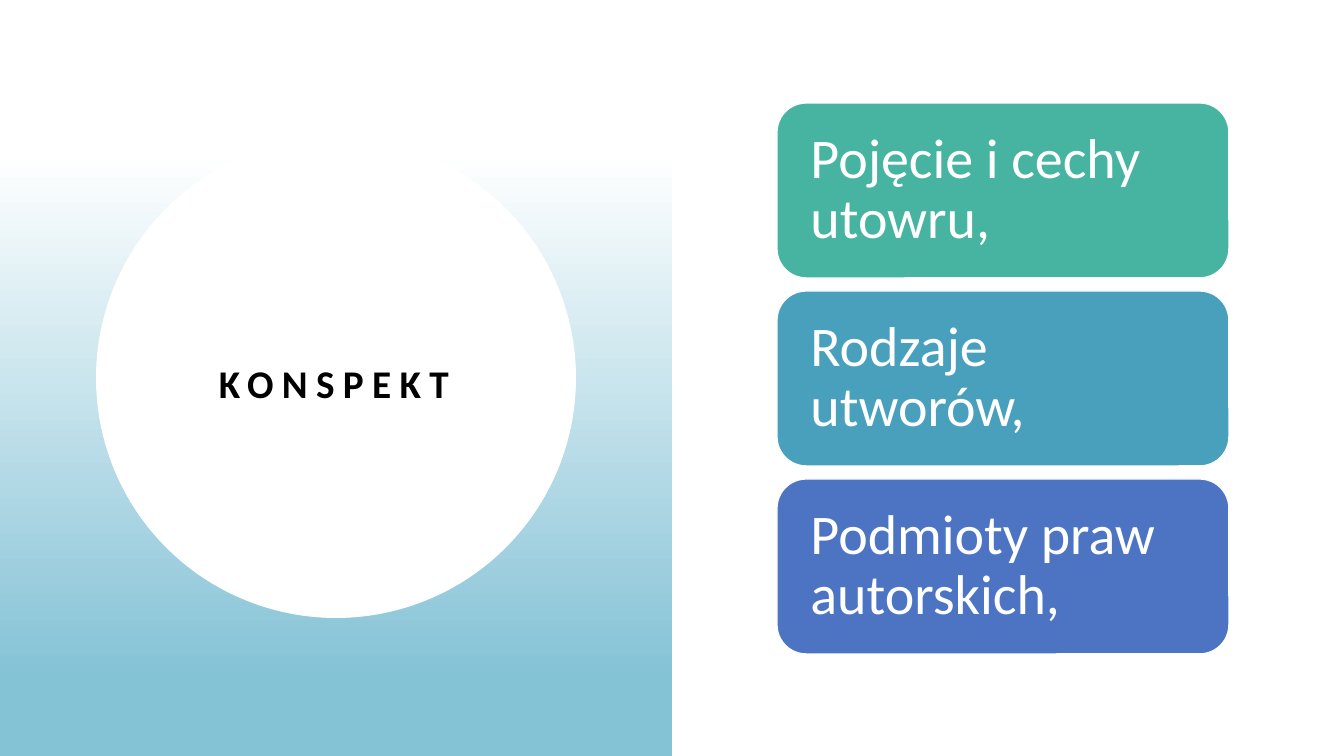
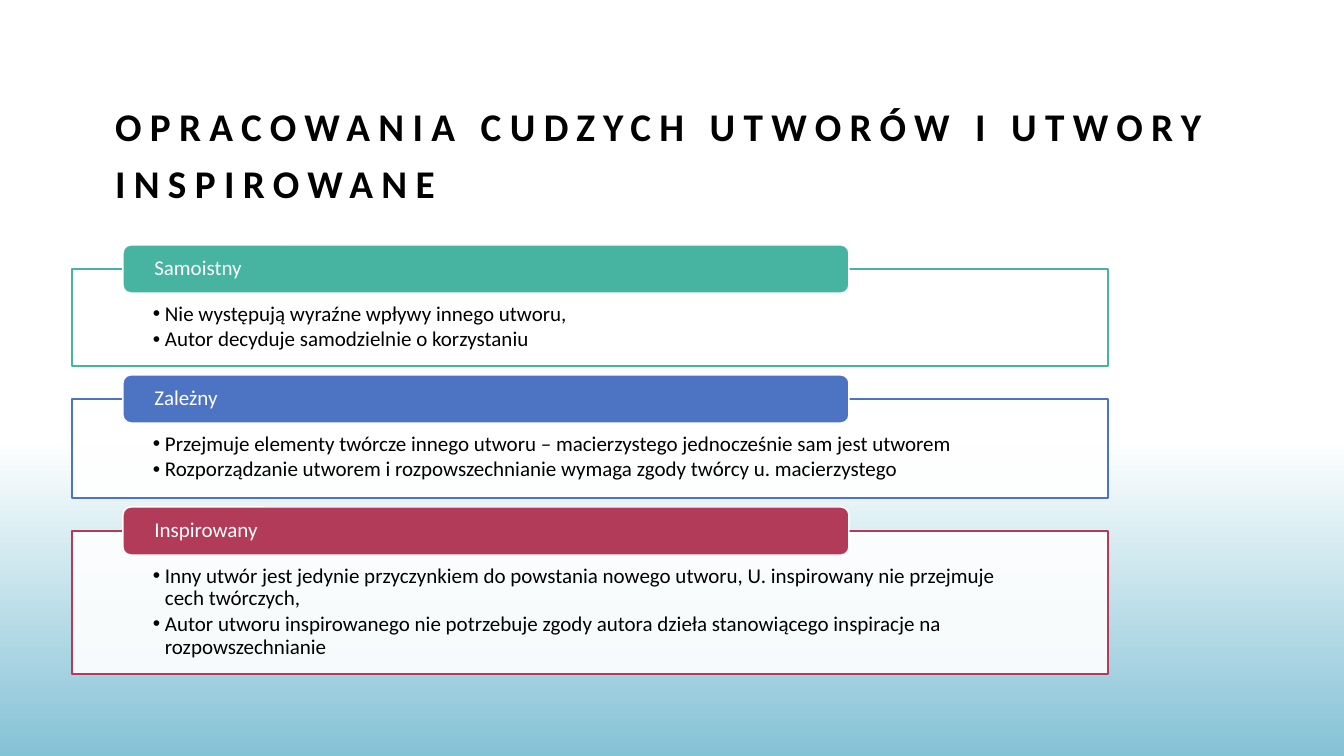
from dataclasses import dataclass

import lxml.etree
import pptx
import pptx.dml.color
import pptx.enum.shapes
import pptx.enum.text
import pptx.oxml.ns
import pptx.presentation
import pptx.shapes.autoshape
import pptx.slide
import pptx.text.text
import pptx.util

PX_PER_INCH = 100.8
SLIDE_WIDTH, SLIDE_HEIGHT = 1344, 756
TITLE_ONLY = 5

WHITE, BLACK, SKY = "FFFFFF", "000000", "84C2D6"
TEAL, BLUE, INDIGO, CRIMSON = "46B4A1", "48A0BD", "4D74C3", "B13B58"

SHAPE = pptx.enum.shapes.MSO_SHAPE
ANCHOR = pptx.enum.text.MSO_ANCHOR
ALIGN = pptx.enum.text.PP_ALIGN


@dataclass(frozen=True)
class Area:
    left: int
    top: int
    width: int
    height: int


@dataclass(frozen=True)
class TextStyle:
    size: int
    colour: str
    bold: bool = False
    tracking: int = 0  # points between letters
    line_spacing: float = 0.9
    space_after: float = 0
    align: pptx.enum.text.PP_ALIGN = ALIGN.LEFT
    anchor: pptx.enum.text.MSO_ANCHOR = ANCHOR.MIDDLE
    insets: tuple[int, int, int, int] = (0, 0, 0, 0)
    bulleted: bool = False


@dataclass(frozen=True)
class Card:
    text: str
    colour: str


@dataclass(frozen=True)
class Topic:
    heading: str
    colour: str
    height: int
    points: tuple[str, ...]


CARD_TEXT = TextStyle(40, WHITE, insets=(25, 25, 25, 25))
HEADING_TEXT = TextStyle(15, WHITE, insets=(29, 0, 29, 0))
POINT_TEXT = TextStyle(15, BLACK, space_after=2.25, anchor=ANCHOR.TOP,
                       insets=(81, 34, 81, 12), bulleted=True)

CARDS = (
    Card("Pojęcie i cechy utowru,", TEAL),
    Card("Rodzaje utworów,", BLUE),
    Card("Podmioty praw autorskich,", INDIGO),
)
TOPICS = (
    Topic("Samoistny", TEAL, 97, (
        "Nie występują wyraźne wpływy innego utworu,",
        "Autor decyduje samodzielnie o korzystaniu",
    )),
    Topic("Zależny", INDIGO, 99, (
        "Przejmuje elementy twórcze innego utworu – macierzystego "
        "jednocześnie sam jest utworem",
        "Rozporządzanie utworem i rozpowszechnianie wymaga zgody "
        "twórcy u. macierzystego",
    )),
    Topic("Inspirowany", CRIMSON, 143, (
        "Inny utwór jest jedynie przyczynkiem do powstania nowego utworu, "
        "U. inspirowany nie przejmuje cech twórczych,",
        "Autor utworu inspirowanego nie potrzebuje zgody autora dzieła "
        "stanowiącego inspiracje na rozpowszechnianie",
    )),
)


def px(length: int) -> pptx.util.Emu:
    return pptx.util.Emu(round(length * 914400 / PX_PER_INCH))


def rgb(colour: str) -> pptx.dml.color.RGBColor:
    return pptx.dml.color.RGBColor.from_string(colour)


def assign(target: object, values: dict[str, object]) -> None:
    for name, value in values.items():
        setattr(target, name, value)


def add_bullet(para: pptx.text.text._Paragraph) -> None:
    properties = para._p.get_or_add_pPr()
    properties.set("marL", str(px(12)))
    properties.set("indent", str(-px(12)))
    for tag, name, value in (("a:buFont", "typeface", "Arial"),
                             ("a:buChar", "char", "•")):
        lxml.etree.SubElement(properties, pptx.oxml.ns.qn(tag)).set(name, value)


def write(frame: pptx.text.text.TextFrame, lines: tuple[str, ...],
          style: TextStyle) -> None:
    left, top, right, bottom = map(px, style.insets)
    assign(frame, {
        "word_wrap": True,
        "auto_size": pptx.enum.text.MSO_AUTO_SIZE.NONE,
        "vertical_anchor": style.anchor,
        "margin_left": left, "margin_top": top,
        "margin_right": right, "margin_bottom": bottom,
    })
    for index, line in enumerate(lines):
        para = frame.add_paragraph() if index else frame.paragraphs[0]
        if style.bulleted:
            add_bullet(para)
        assign(para, {
            "alignment": style.align,
            "line_spacing": style.line_spacing,
            "space_before": pptx.util.Pt(0),
            "space_after": pptx.util.Pt(style.space_after),
        })
        span = para.add_run()
        span.text = line
        assign(span.font, {"name": "Calibri", "bold": style.bold,
                           "size": pptx.util.Pt(style.size)})
        span.font.color.rgb = rgb(style.colour)
        if style.tracking:
            span._r.get_or_add_rPr().set("spc", str(style.tracking * 100))


def add_box(page: pptx.slide.Slide, kind: pptx.enum.shapes.MSO_SHAPE, area: Area,
            fill: str, line: str | None = None,
            opacity: int = 100) -> pptx.shapes.autoshape.Shape:
    box = page.shapes.add_shape(kind, px(area.left), px(area.top),
                                px(area.width), px(area.height))
    box.shadow.inherit = False
    box.fill.solid()
    box.fill.fore_color.rgb = rgb(fill)
    if opacity < 100:
        colour = box.element.spPr.find(".//" + pptx.oxml.ns.qn("a:srgbClr"))
        alpha = lxml.etree.SubElement(colour, pptx.oxml.ns.qn("a:alpha"))
        alpha.set("val", str(opacity * 1000))
    if line:
        box.line.color.rgb = rgb(line)
        box.line.width = pptx.util.Pt(1)
    else:
        box.line.fill.background()
    return box


def add_sky(page: pptx.slide.Slide, area: Area, start: float, end: float) -> None:
    """Draw a panel fading downwards from white to sky blue."""
    panel = add_box(page, SHAPE.RECTANGLE, area, SKY)
    panel.fill.gradient()
    panel.fill.gradient_angle = 270
    for stop, colour, position in zip(panel.fill.gradient_stops,
                                      (WHITE, SKY), (start, end)):
        stop.color.rgb = rgb(colour)
        stop.position = position


def set_title(page: pptx.slide.Slide, text: str, area: Area,
              align: pptx.enum.text.PP_ALIGN,
              anchor: pptx.enum.text.MSO_ANCHOR) -> None:
    """Fill the title and bring it in front of the background shapes."""
    title = page.shapes.title
    title.element.getparent().append(title.element)
    assign(title, {name: px(getattr(area, name))
                   for name in ("left", "top", "width", "height")})
    write(title.text_frame, (text,),
          TextStyle(28, BLACK, bold=True, tracking=6, line_spacing=1.2,
                    align=align, anchor=anchor, insets=(10, 5, 10, 5)))


def add_page(deck: pptx.presentation.Presentation) -> pptx.slide.Slide:
    return deck.slides.add_slide(deck.slide_layouts[TITLE_ONLY])


def build_outline(deck: pptx.presentation.Presentation) -> None:
    page = add_page(deck)
    add_sky(page, Area(0, 0, SLIDE_WIDTH // 2, SLIDE_HEIGHT), 0.2, 0.9)
    add_box(page, SHAPE.OVAL, Area(96, 138, 480, 480), WHITE)
    set_title(page, "KONSPEKT", Area(133, 252, 402, 252),
              ALIGN.CENTER, ANCHOR.MIDDLE)
    for index, card in enumerate(CARDS):
        box = add_box(page, SHAPE.ROUNDED_RECTANGLE,
                      Area(777, 103 + 188 * index, 452, 175), card.colour, WHITE)
        write(box.text_frame, (card.text,), CARD_TEXT)


def build_topics(deck: pptx.presentation.Presentation) -> None:
    page = add_page(deck)
    add_sky(page, Area(0, 387, SLIDE_WIDTH, SLIDE_HEIGHT - 387), 0.14, 1)
    set_title(page, "OPRACOWANIA CUDZYCH UTWORÓW I UTWORY INSPIROWANE",
              Area(105, 84, 1134, 127), ALIGN.LEFT, ANCHOR.BOTTOM)
    top, gap, heading_height = 269, 33, 48
    for topic in TOPICS:
        body = add_box(page, SHAPE.RECTANGLE, Area(72, top, 1036, topic.height),
                       WHITE, topic.colour, opacity=90)
        write(body.text_frame, topic.points, POINT_TEXT)
        heading = add_box(page, SHAPE.ROUNDED_RECTANGLE,
                          Area(123, top - heading_height // 2, 726, heading_height),
                          topic.colour, WHITE)
        write(heading.text_frame, (topic.heading,), HEADING_TEXT)
        top += topic.height + gap


def main() -> None:
    deck = pptx.Presentation()
    deck.slide_width, deck.slide_height = px(SLIDE_WIDTH), px(SLIDE_HEIGHT)
    build_outline(deck)
    build_topics(deck)
    deck.save("out.pptx")


if __name__ == "__main__":
    main()
